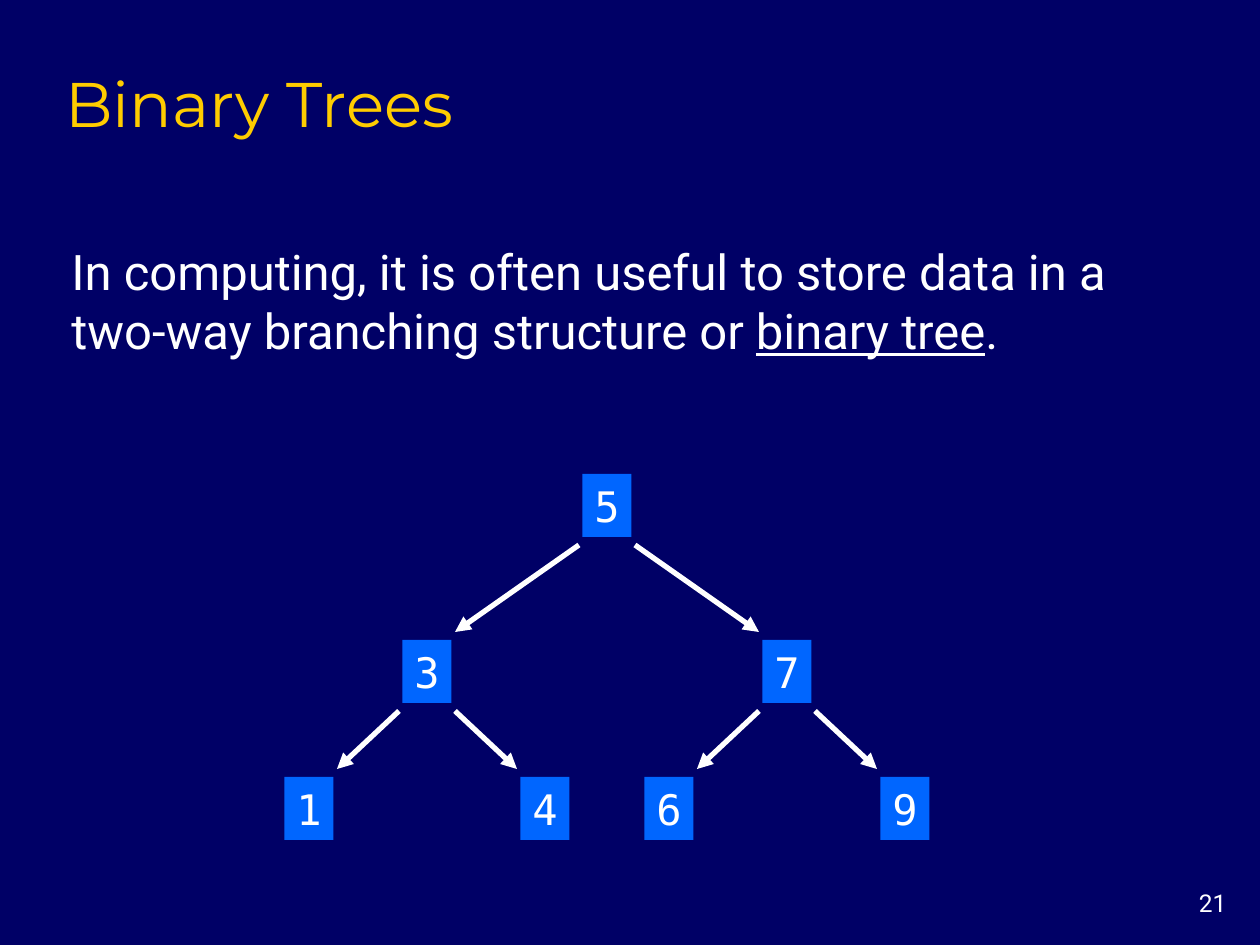
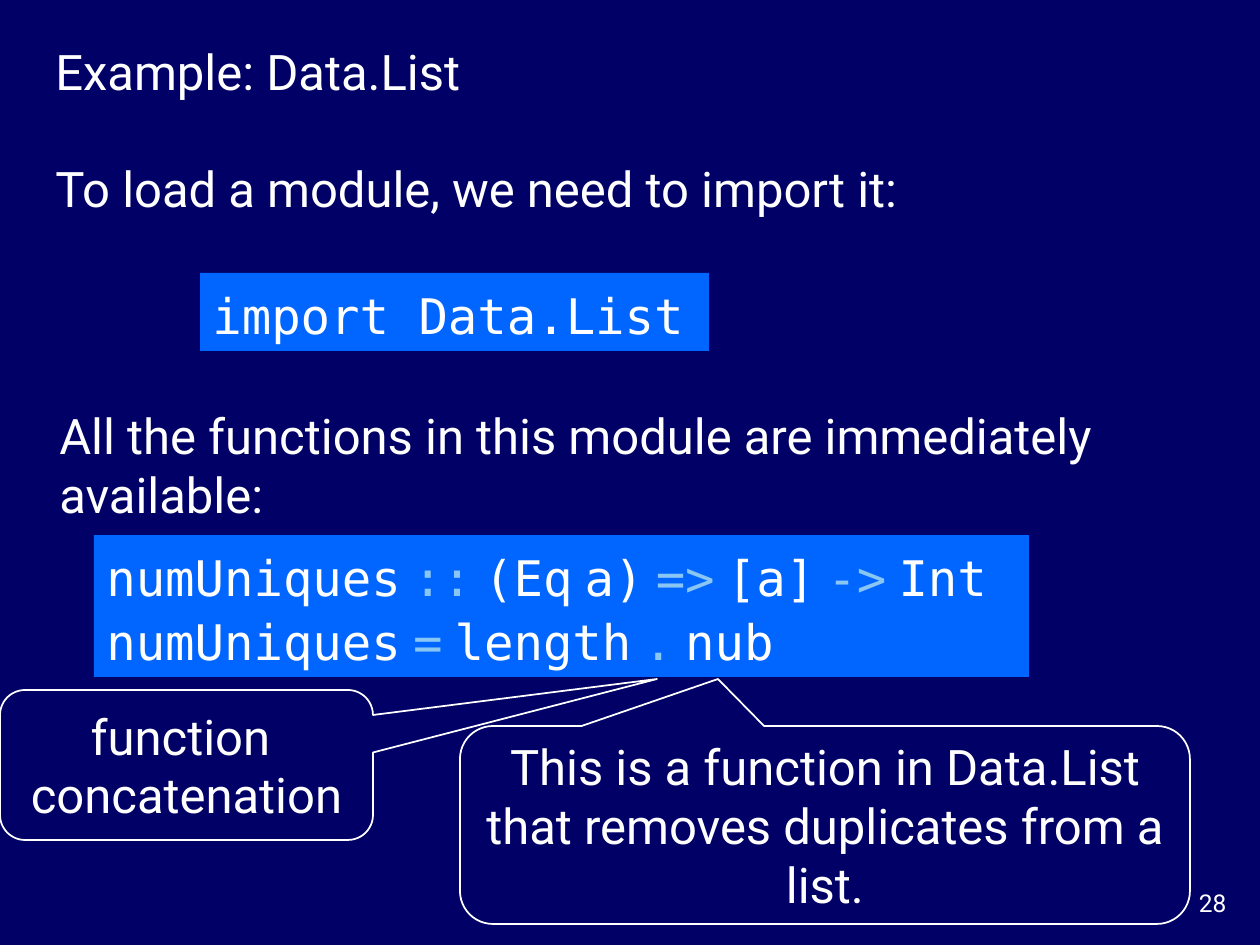
from lxml import etree
from pptx import Presentation
from pptx import util as u
from pptx.dml.color import RGBColor
from pptx.enum import shapes, text
from pptx.oxml import ns

COLORS = {
    "background": "000066",
    "title": "FFCC00",
    "text": "FFFFFF",
    "box": "0066FF",
    "operator": "89C6F4",
}
BODY, HEADING, CODE = "Roboto", "Montserrat", "DejaVu Sans Mono"
PX_PER_INCH = 126
HARD_SPACE = chr(160)
LEFT, CENTER, RIGHT = text.PP_ALIGN.LEFT, text.PP_ALIGN.CENTER, text.PP_ALIGN.RIGHT
TOP, MIDDLE, BOTTOM = text.MSO_ANCHOR.TOP, text.MSO_ANCHOR.MIDDLE, text.MSO_ANCHOR.BOTTOM


def px(length):
    return u.Emu(round(length * 914400 / PX_PER_INCH))


def rgb(name):
    return RGBColor.from_string(COLORS[name])


def write_text(shape, paragraphs, font=BODY, size=28, color="text", align=LEFT,
               anchor=MIDDLE, wrap=True, line_spacing=None, gap=0):
    """Each paragraph is a string or a list of (text, run format) pairs."""
    frame = shape.text_frame
    frame.word_wrap = wrap
    frame.auto_size = text.MSO_AUTO_SIZE.NONE
    frame.vertical_anchor = anchor
    for index, content in enumerate(paragraphs):
        paragraph = frame.add_paragraph() if index else frame.paragraphs[0]
        paragraph.alignment = align
        if line_spacing:
            paragraph.line_spacing = line_spacing
        if index and gap:
            paragraph.space_before = u.Pt(gap)
        runs = [(content, {})] if isinstance(content, str) else content
        for words, style in runs:
            run = paragraph.add_run()
            run.text = words
            run.font.name = style.get("font", font)
            run.font.size = u.Pt(size)
            run.font.color.rgb = rgb(style.get("color", color))
            if style.get("underline"):
                run.font.underline = True


def add_text(slide, box, paragraphs, **style):
    shape = slide.shapes.add_textbox(*map(px, box))
    write_text(shape, paragraphs, **style)


def add_blue_box(slide, box, paragraphs, **style):
    shape = slide.shapes.add_shape(shapes.MSO_SHAPE.RECTANGLE, *map(px, box))
    shape.shadow.inherit = False
    shape.fill.solid()
    shape.fill.fore_color.rgb = rgb("box")
    shape.line.fill.background()
    write_text(shape, paragraphs, font=CODE, wrap=False, **style)


def add_callout(slide, box, tip, paragraphs):
    """The tip is given in px on the slide; the shape wants it from its centre."""
    left, top, width, height = box
    shape = slide.shapes.add_shape(
        shapes.MSO_SHAPE.ROUNDED_RECTANGULAR_CALLOUT, *map(px, box))
    shape.shadow.inherit = False
    shape.adjustments[0] = (tip[0] - left) / width - 0.5
    shape.adjustments[1] = (tip[1] - top) / height - 0.5
    shape.fill.background()
    shape.line.color.rgb = rgb("text")
    shape.line.width = u.Pt(1)
    write_text(shape, paragraphs, align=CENTER)


def add_arrow(slide, start, end):
    arrow = slide.shapes.add_connector(
        shapes.MSO_CONNECTOR.STRAIGHT, *map(px, start + end))
    arrow.line.color.rgb = rgb("text")
    arrow.line.width = u.Pt(3)
    properties = arrow._element.spPr
    line = properties.find(ns.qn("a:ln"))
    etree.SubElement(line, ns.qn("a:tailEnd"), type="triangle")
    etree.SubElement(properties, ns.qn("a:effectLst"))


def add_tree(slide, tree, center, tops, spreads):
    """Draw a (value, left, right) tree; tops and spreads go level by level."""
    width, height = 49, 63
    value, *children = tree
    add_blue_box(slide, (center - width / 2, tops[0], width, height), [value],
                 size=24, align=CENTER)
    for side, child in zip((-1, 1), children):
        child_center = center + side * spreads[0]
        add_arrow(slide, (center + side * 28, tops[0] + height + 8),
                  (child_center - side * 28, tops[1] - 8))
        add_tree(slide, child, child_center, tops[1:], spreads[1:])


def code_line(*tokens):
    """Colour the operators and part the tokens with narrow hard spaces."""
    runs = []
    for token in tokens:
        is_operator = token in ("::", "=>", "->", "=", ".")
        if token:
            runs.append((token, {"color": "operator" if is_operator else "text"}))
        runs.append((HARD_SPACE, {"font": BODY}))
    return runs


def add_slide(presentation, number):
    slide = presentation.slides.add_slide(presentation.slide_layouts[6])
    slide.background.fill.solid()
    slide.background.fill.fore_color.rgb = rgb("background")
    add_text(slide, (1155, 882, 84, 42), [str(number)], size=14, align=RIGHT, anchor=TOP)
    return slide


def build_tree_slide(presentation):
    slide = add_slide(presentation, 21)
    add_text(slide, (53, 51, 1071, 95), ["Binary Trees"], font=HEADING, size=36,
             color="title", anchor=BOTTOM)
    add_text(slide, (59, 235, 1129, 131), [[
        ("In computing, it is often useful to store data in a "
         "two-way branching structure or ", {}),
        ("binary tree", {"underline": True}),
        (".", {}),
    ]])
    tree = ("5", ("3", ("1",), ("4",)), ("7", ("6",), ("9",)))
    add_tree(slide, tree, center=607, tops=(474, 640, 777), spreads=(180, 118))


def build_module_slide(presentation):
    slide = add_slide(presentation, 28)
    # Loading the module
    add_text(slide, (43, 35, 1149, 189),
             ["Example: Data.List", "To load a module, we need to import it:"], gap=33)
    add_blue_box(slide, (200, 273, 509, 78), [code_line("import Data.List")],
                 line_spacing=1.1)
    # Using its functions
    add_text(slide, (47, 399, 1137, 131),
             ["All the functions in this module are immediately available:"])
    code_top, code_height = 535, 142
    add_blue_box(slide, (94, code_top, 935, code_height), [
        code_line("numUniques", "::", "(Eq", "a)", "=>", "[a]", "->", "Int", ""),
        code_line("numUniques", "=", "length", ".", "nub"),
    ], line_spacing=1.1)
    # Explanations, pointing at the code from just below its box
    tip_top = code_top + code_height + 2
    add_callout(slide, (460, 726, 730, 198), (718, tip_top),
                ["This is a function in Data.List that removes duplicates from a list."])
    add_callout(slide, (0, 690, 373, 150), (657, tip_top), ["function ", "concatenation"])


def main():
    presentation = Presentation()
    presentation.slide_width, presentation.slide_height = px(1260), px(945)
    build_tree_slide(presentation)
    build_module_slide(presentation)
    presentation.save("out.pptx")


if __name__ == "__main__":
    main()
